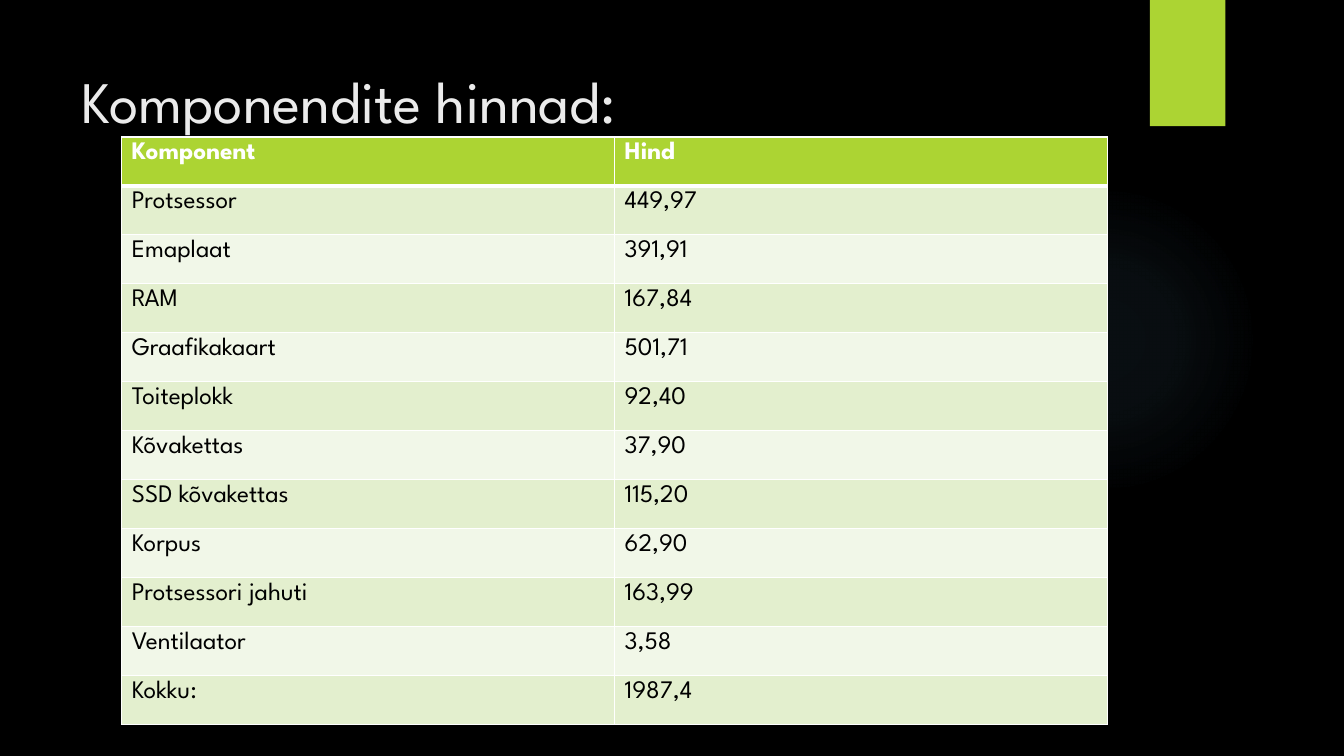
from pptx import Presentation
from pptx.dml.color import RGBColor
from pptx.enum.shapes import MSO_SHAPE as Shape
from pptx.enum.text import MSO_ANCHOR as Anchor, PP_ALIGN as Align
from pptx.oxml import parse_xml
from pptx.oxml.ns import nsdecls
from pptx.util import Cm, Pt

FONT = "League Spartan"
BLACK = RGBColor(0x00, 0x00, 0x00)
WHITE = RGBColor(0xFF, 0xFF, 0xFF)
TITLE_GREY = RGBColor(0xEB, 0xEB, 0xEB)
GREEN = RGBColor(0xAC, 0xD4, 0x33)
BAND_DARK = RGBColor(0xE3, 0xEF, 0xCE)
BAND_LIGHT = RGBColor(0xF1, 0xF7, 0xE8)
GLOW_BLUE = RGBColor(0x7A, 0xC4, 0xF0)

# Glow stops: position and opacity in percent
GLOW_STOPS = [(0, 7), (36, 6), (69, 0)]

PRICES = [
    ("Komponent", "Hind"),
    ("Protsessor", "449,97"),
    ("Emaplaat", "391,91"),
    ("RAM", "167,84"),
    ("Graafikakaart", "501,71"),
    ("Toiteplokk", "92,40"),
    ("Kõvakettas", "37,90"),
    ("SSD kõvakettas", "115,20"),
    ("Korpus", "62,90"),
    ("Protsessori jahuti", "163,99"),
    ("Ventilaator", "3,58"),
    ("Kokku:", "1987,4"),
]


def format_runs(paragraph, size, color, bold=False):
    for run in paragraph.runs:
        run.font.name = FONT
        run.font.size = Pt(size)
        run.font.bold = bold
        run.font.color.rgb = color


def add_plain_shape(slide, kind, left, top, width, height):
    shape = slide.shapes.add_shape(kind, Cm(left), Cm(top), Cm(width), Cm(height))
    shape.line.fill.background()
    shape.shadow.inherit = False
    return shape


def add_glow(slide):
    glow = add_plain_shape(slide, Shape.OVAL, 23.9, 4.65, 7.82, 7.82)
    glow.fill.background()
    stops = "".join(
        f'<a:gs pos="{position * 1000}"><a:srgbClr val="{GLOW_BLUE}">'
        f'<a:alpha val="{opacity * 1000}"/></a:srgbClr></a:gs>'
        for position, opacity in GLOW_STOPS
    )
    gradient = parse_xml(
        f'<a:gradFill {nsdecls("a")}><a:gsLst>{stops}</a:gsLst><a:path path="circle">'
        '<a:fillToRect l="50000" t="50000" r="50000" b="50000"/></a:path></a:gradFill>'
    )
    properties = glow.element.spPr
    properties.replace(properties.find("{*}noFill"), gradient)


def add_ribbon(slide):
    ribbon = add_plain_shape(slide, Shape.RECTANGLE, 28.98, 0, 1.9, 3.18)
    ribbon.fill.solid()
    ribbon.fill.fore_color.rgb = GREEN
    ribbon.element.spPr.find("{*}effectLst").append(parse_xml(
        f'<a:outerShdw {nsdecls("a")} blurRad="{Pt(3)}" dist="{Pt(2)}" dir="5400000">'
        f'<a:srgbClr val="{BLACK}"><a:alpha val="45000"/></a:srgbClr></a:outerShdw>'
    ))


def place_title(slide, text):
    title = slide.shapes.title
    title.left, title.top, title.width, title.height = Cm(1.8), Cm(1.27), Cm(26.14), Cm(3.89)
    frame = title.text_frame
    frame.text = text
    frame.word_wrap = True
    frame.vertical_anchor = Anchor.MIDDLE
    frame.margin_bottom = Cm(1.5)
    frame.paragraphs[0].alignment = Align.LEFT
    format_runs(frame.paragraphs[0], 42, TITLE_GREY)
    # Bring the title in front of the decoration
    title.element.getparent().append(title.element)


def set_borders(cell, top, bottom):
    properties = cell._tc.get_or_add_tcPr()
    widths = {"L": 1, "R": 1, "T": top, "B": bottom}
    for index, (side, width) in enumerate(widths.items()):
        properties.insert(index, parse_xml(
            f'<a:ln{side} {nsdecls("a")} w="{Pt(width)}"><a:solidFill>'
            f'<a:srgbClr val="{WHITE}"/></a:solidFill></a:ln{side}>'
        ))


def fill_cell(cell, text, row):
    is_header = row == 0
    cell.text = text
    format_runs(cell.text_frame.paragraphs[0], 18, WHITE if is_header else BLACK, is_header)
    cell.fill.solid()
    band = BAND_DARK if row % 2 else BAND_LIGHT
    cell.fill.fore_color.rgb = GREEN if is_header else band
    set_borders(cell, top=3 if row == 1 else 1, bottom=3 if is_header else 1)


def add_price_table(slide, prices):
    frame = slide.shapes.add_table(
        len(prices), len(prices[0]), Cm(3.07), Cm(3.45), Cm(24.84), Cm(14.81))
    for row, values in enumerate(prices):
        for column, text in enumerate(values):
            fill_cell(frame.table.cell(row, column), text, row)


def main():
    presentation = Presentation()
    presentation.slide_width, presentation.slide_height = Cm(33.87), Cm(19.05)
    slide = presentation.slides.add_slide(presentation.slide_layouts[5])
    slide.background.fill.solid()
    slide.background.fill.fore_color.rgb = BLACK

    # Decoration
    add_glow(slide)
    add_ribbon(slide)

    # Content
    place_title(slide, "Komponendite hinnad:")
    add_price_table(slide, PRICES)
    presentation.save("out.pptx")


if __name__ == "__main__":
    main()
